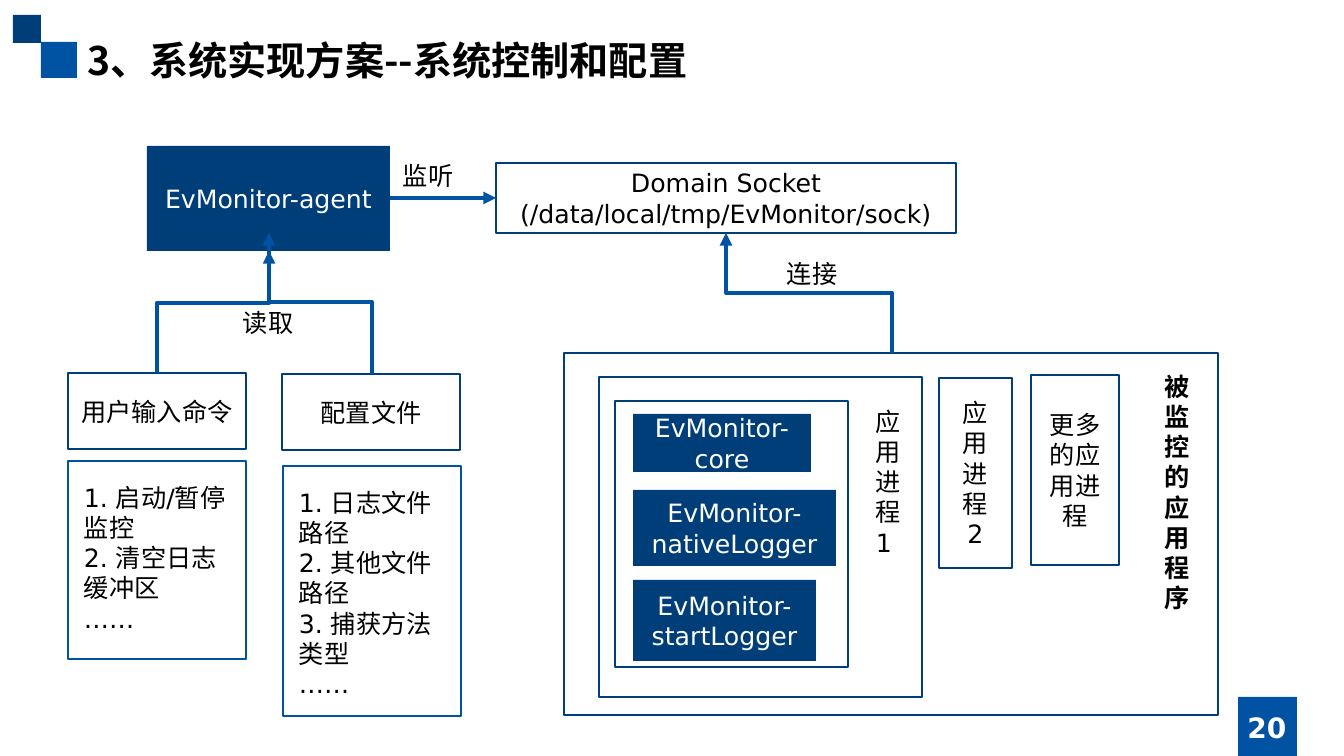
from lxml import etree
from pptx import Presentation
from pptx.dml.color import RGBColor
from pptx.enum.shapes import MSO_CONNECTOR as Link, MSO_SHAPE as Shape
from pptx.enum.text import MSO_ANCHOR as Anchor, MSO_AUTO_SIZE as Fit, PP_ALIGN as Align
from pptx.oxml.ns import qn
from pptx.util import Pt

NAVY, BLUE, WHITE, BLACK = "003E7A", "0053A3", "FFFFFF", "000000"
SANS, HAN = "DejaVu Sans", "Noto Sans CJK SC"
hue = RGBColor.from_string


def px(*nums):
    return [round(n * 914400 / 100.8) for n in nums]


def write(shape, text, color=BLACK, size=18, font=SANS, bold=False,
          align=Align.LEFT, anchor=Anchor.TOP):
    frame = shape.text_frame
    frame.text = text
    frame.word_wrap = True
    frame.vertical_anchor = anchor
    for para in frame.paragraphs:
        para.alignment = align
        for run in para.runs:
            run.font.size, run.font.bold = Pt(size), bold
            run.font.color.rgb = hue(color)
            run.font.name = font
            east = etree.SubElement(run.font._element, qn("a:ea"))
            east.set("typeface", HAN)


deck = Presentation()
deck.slide_width, deck.slide_height = px(1344, 756)
slide = deck.slides.add_slide(deck.slide_layouts[5])
shapes = slide.shapes

# Title
title = shapes.title
title.left, title.top, title.width, title.height = px(77, 31, 856, 57)
write(title, "3、系统实现方案--系统控制和配置", size=28, font=HAN, bold=True)
title.text_frame.auto_size = Fit.SHAPE_TO_FIT_TEXT

# Boxes: place, fill, line, line width, text
boxes = [
    # Corner squares and page square
    (41, 42, 36, 36, BLUE, None, 0, ""),
    (13, 15, 28, 28, NAVY, None, 0, ""),
    (1238, 697, 59, 59, BLUE, None, 0, ""),
    # Agent, its inputs and the socket
    (147, 146, 243, 105, NAVY, None, 0, "EvMonitor-agent"),
    (496, 163, 460, 70, None, NAVY, 2, "Domain Socket\n(/data/local/tmp/EvMonitor/sock)"),
    (68, 373, 178, 76, None, NAVY, 2, "用户输入命令"),
    (282, 374, 178, 76, None, NAVY, 2, "配置文件"),
    (68, 461, 178, 198, WHITE, BLUE, 1, ""),
    (283, 466, 178, 250, WHITE, BLUE, 1, ""),
    # Monitored application
    (564, 353, 654, 362, None, NAVY, 2, ""),
    (599, 377, 323, 320, None, NAVY, 2, ""),
    (615, 401, 233, 266, None, NAVY, 2, ""),
    (633, 414, 178, 58, NAVY, None, 0, "EvMonitor-core"),
    (633, 490, 203, 76, NAVY, None, 0, "EvMonitor-nativeLogger"),
    (633, 580, 183, 81, NAVY, None, 0, "EvMonitor-startLogger"),
    (939, 378, 73, 190, None, NAVY, 2, "应\n用\n进\n程\n2"),
    (1031, 375, 88, 190, None, NAVY, 2, "更多的应用进程"),
]
for *place, fill, line, wide, text in boxes:
    box = shapes.add_shape(Shape.RECTANGLE, *px(*place))
    box.shadow.inherit = False
    if fill:
        box.fill.solid()
        box.fill.fore_color.rgb = hue(fill)
    else:
        box.fill.background()
    if line:
        box.line.color.rgb = hue(line)
        box.line.width = Pt(wide)
    else:
        box.line.fill.background()
    if text:
        write(box, text, WHITE if fill else BLACK, align=Align.CENTER, anchor=Anchor.MIDDLE)

# Arrows: a straight one, then elbows that rise from start to end
arrows = [shapes.add_connector(Link.STRAIGHT, *px(390, 198, 496, 198))]
rises = [(157, 373, 269, 233, 50000), (372, 374, 269, 251, 58500), (892, 353, 726, 233, 50000)]
for x1, y1, x2, y2, bend in rises:
    mid, half = (x1 + x2) / 2, (y1 - y2) / 2
    level, side = (y1 + y2) / 2, (x2 - x1) / 2
    elbow = shapes.add_connector(
        Link.ELBOW, *px(mid - half, level - side, mid + half, level + side))
    props = elbow._element.spPr
    props.find(qn("a:xfrm")).set("rot", str(270 * 60000))
    guide = etree.SubElement(props.find(qn("a:prstGeom")).find(qn("a:avLst")), qn("a:gd"))
    guide.set("name", "adj1")
    guide.set("fmla", f"val {bend}")
    arrows.append(elbow)
for arrow in arrows:
    arrow.line.color.rgb = hue(BLUE)
    arrow.line.width = Pt(3)
    tip = etree.SubElement(arrow.line._get_or_add_ln(), qn("a:tailEnd"))
    tip.set("type", "triangle")
    etree.SubElement(arrow._element.spPr, qn("a:effectLst"))

# Labels and lists
notes = [
    (233, 302, 72, 40, "读取"),
    (393, 155, 72, 40, "监听"),
    (777, 253, 72, 40, "连接"),
    (866, 401, 44, 158, "应用进程\n1"),
    (74, 477, 166, 163, "1. 启动/暂停监控\n2. 清空日志缓冲区\n……"),
    (289, 482, 166, 224, "1. 日志文件路径\n2. 其他文件路径\n3. 捕获方法类型\n……"),
]
for *place, text in notes:
    note = shapes.add_textbox(*px(*place))
    write(note, text)
    note.text_frame.auto_size = Fit.SHAPE_TO_FIT_TEXT

# Application name and page number
name = shapes.add_textbox(*px(1155, 366, 64, 254))
write(name, "被监控的应用程序", font="Arial", bold=True)
page = shapes.add_textbox(*px(1190, 707, 154, 40))
write(page, "20", WHITE, 20, bold=True, align=Align.CENTER, anchor=Anchor.MIDDLE)

deck.save("out.pptx")
